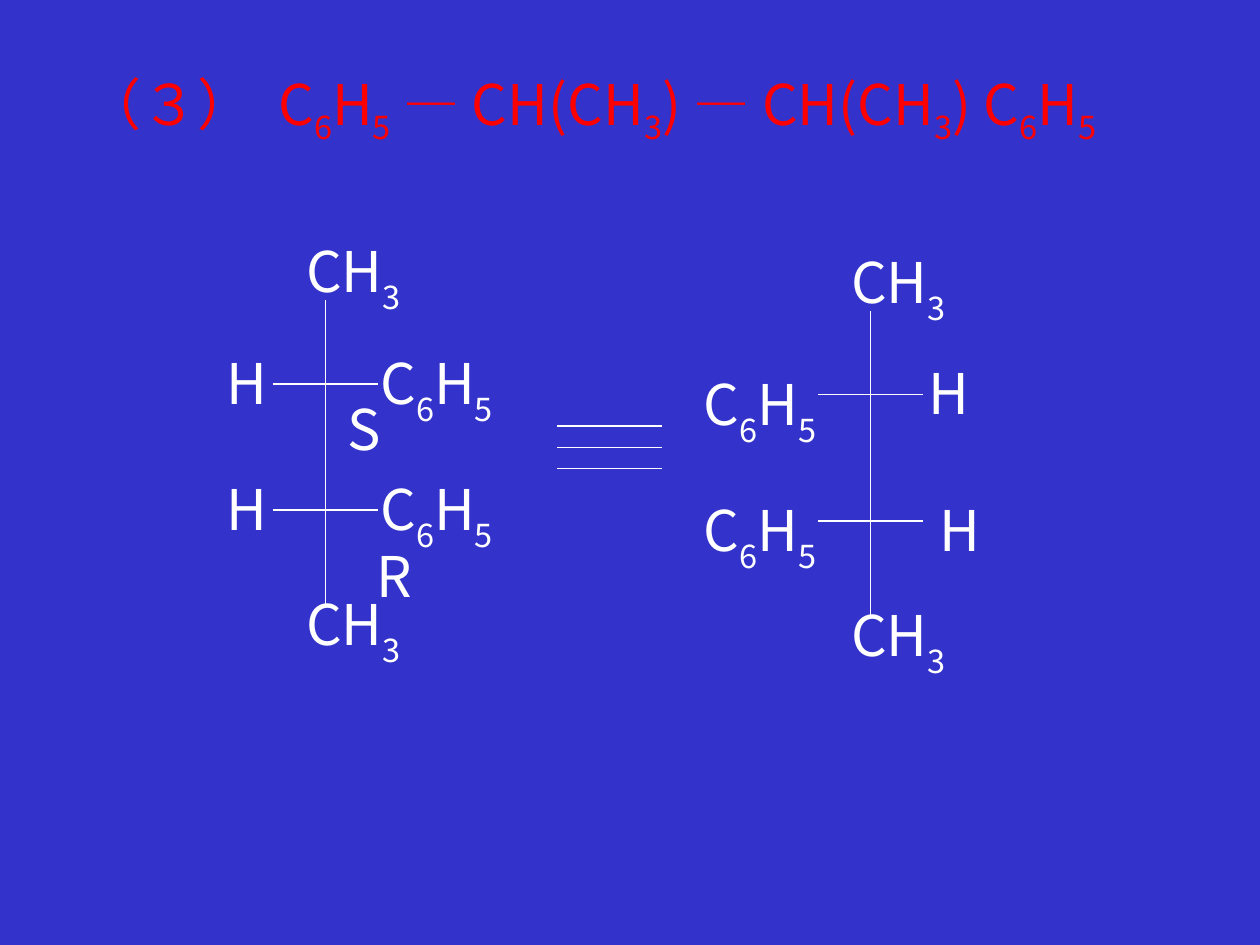
from dataclasses import dataclass
from itertools import groupby

from lxml import etree
from pptx import Presentation
from pptx.dml.color import RGBColor
from pptx.enum.text import MSO_AUTO_SIZE
from pptx.enum.shapes import MSO_CONNECTOR
from pptx.oxml.ns import qn
from pptx.util import Cm, Pt

STRAIGHT = MSO_CONNECTOR.STRAIGHT
FIT_SHAPE = MSO_AUTO_SIZE.SHAPE_TO_FIT_TEXT
COLORS = {"background": "3333CC", "heading": "FF0000", "structure": "FFFFFF"}
FONT = "Noto Sans CJK SC"
SUBSCRIPT_DIGITS = "356"

# Lengths in centimetres
LABEL_SIZES = {
    "CH3": (2.44, 1.85),
    "C6H5": (2.79, 1.85),
    "H": (1.35, 1.63),
    "S": (1.12, 1.63),
    "R": (1.19, 1.63),
}
BOND_LENGTH = 2.12
BACKBONE_LENGTH = 6.14
BOND_DROPS = (1.69, 4.23)
METHYL_SHIFT = -0.64
METHYL_DROPS = (-1.4, 5.71)


@dataclass
class Label:
    text: str
    left: float
    top: float


@dataclass
class FischerProjection:
    axis: float
    top: float
    substituents: list[Label]


PROJECTIONS = [
    FischerProjection(6.56, 6.05, [
        Label("H", 4.32, 6.91), Label("C6H5", 7.42, 6.91),
        Label("H", 4.32, 9.45), Label("C6H5", 7.42, 9.45),
        Label("S", 6.76, 7.82), Label("R", 7.34, 10.8),
    ]),
    FischerProjection(17.55, 6.27, [
        Label("C6H5", 13.94, 7.32), Label("H", 18.47, 7.11),
        Label("C6H5", 13.94, 9.86), Label("H", 18.69, 9.86),
    ]),
]


def add_formula(paragraph, formula: str, color: str, baseline: int) -> None:
    """Write a formula with its digits lowered."""
    for lowered, letters in groupby(formula, lambda c: c in SUBSCRIPT_DIGITS):
        run = paragraph.add_run()
        run.text = "".join(letters)
        if lowered:
            run._r.get_or_add_rPr().set("baseline", str(baseline))
    paragraph.font.size = Pt(32)
    paragraph.font.name = FONT
    paragraph.font.color.rgb = RGBColor.from_string(COLORS[color])
    east_asian = etree.SubElement(paragraph.font._element, qn("a:ea"))
    east_asian.set("typeface", FONT)


def add_label(slide, label: Label) -> None:
    width, height = LABEL_SIZES[label.text]
    box = slide.shapes.add_textbox(Cm(label.left), Cm(label.top), Cm(width), Cm(height))
    box.text_frame.word_wrap = False
    box.text_frame.auto_size = FIT_SHAPE
    add_formula(box.text_frame.paragraphs[0], label.text, "structure", -30000)


def add_bond(slide, x1: float, y1: float, x2: float, y2: float) -> None:
    bond = slide.shapes.add_connector(STRAIGHT, Cm(x1), Cm(y1), Cm(x2), Cm(y2))
    bond.line.width = Pt(0.75)
    bond.line.color.rgb = RGBColor.from_string(COLORS["structure"])
    etree.SubElement(bond._element.spPr, qn("a:effectLst"))


def add_projection(slide, projection: FischerProjection) -> None:
    axis, top = projection.axis, projection.top
    add_bond(slide, axis, top, axis, top + BACKBONE_LENGTH)
    for drop in BOND_DROPS:
        add_bond(slide, axis - BOND_LENGTH / 2, top + drop,
                 axis + BOND_LENGTH / 2, top + drop)
    for drop in METHYL_DROPS:
        add_label(slide, Label("CH3", axis + METHYL_SHIFT, top + drop))
    for substituent in projection.substituents:
        add_label(slide, substituent)


def add_heading(slide) -> None:
    box = slide.shapes.add_textbox(Cm(1.47), Cm(1.27), Cm(21.59), Cm(1.7))
    box.text_frame.word_wrap = True
    paragraph = box.text_frame.paragraphs[0]
    # Widened space between the item number and the formula
    number = paragraph.add_run()
    number.text = "（３）"
    gap = paragraph.add_run()
    gap.text = " "
    gap._r.get_or_add_rPr().set("spc", "700")
    add_formula(paragraph, "C6H5 ― CH(CH3) ― CH(CH3) C6H5", "heading", -25000)


def main() -> None:
    deck = Presentation()
    deck.slide_width, deck.slide_height = Cm(25.4), Cm(19.05)
    slide = deck.slides.add_slide(deck.slide_layouts[6])
    slide.background.fill.solid()
    slide.background.fill.fore_color.rgb = RGBColor.from_string(COLORS["background"])

    add_heading(slide)
    for projection in PROJECTIONS:
        add_projection(slide, projection)

    # Identity sign between the two projections
    for row in range(3):
        y = 8.59 + row * 0.43
        add_bond(slide, 11.23, y, 11.23 + BOND_LENGTH, y)

    deck.save("out.pptx")


if __name__ == "__main__":
    main()
